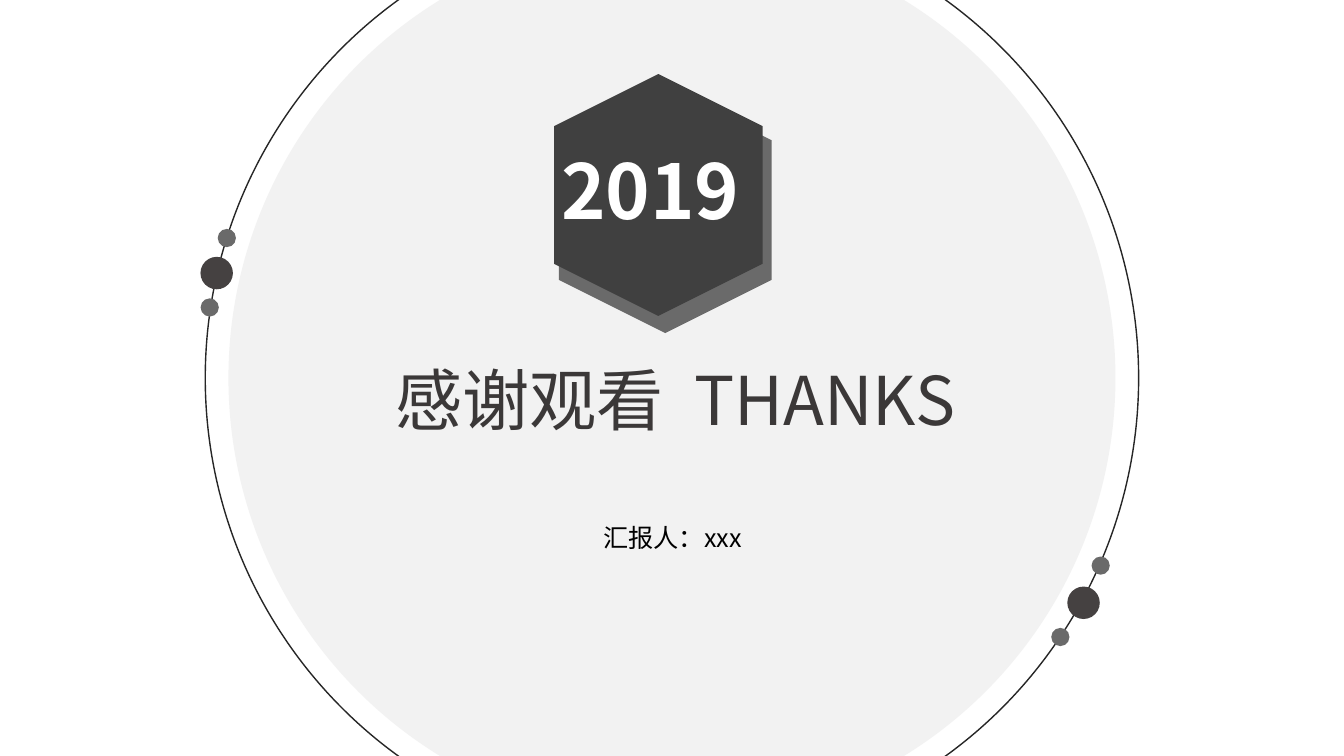
from pptx import Presentation
from pptx.dml.color import RGBColor
from pptx.enum.shapes import MSO_SHAPE
from pptx.enum.text import MSO_ANCHOR, MSO_AUTO_SIZE, PP_ALIGN
from pptx.oxml.ns import qn
from pptx.util import Pt
from lxml.etree import SubElement

WIDTH, HEIGHT = 960, 540
SANS_SC = "Noto Sans CJK SC"
SANS_JP = "Noto Sans CJK JP"
GREY = "6A6A6A"
DARK = "454141"


def colour(value):
    return RGBColor.from_string(value)


class SlideBuilder:
    def __init__(self, page):
        self.page = page

    def shape(self, kind, center, size, fill=None, line=None, rotation=0):
        (x, y), (width, height) = center, size
        shape = self.page.shapes.add_shape(
            kind, Pt(x - width / 2), Pt(y - height / 2), Pt(width), Pt(height))
        shape.shadow.inherit = False
        shape.rotation = rotation
        if fill:
            shape.fill.solid()
            shape.fill.fore_color.rgb = colour(fill)
        else:
            shape.fill.background()
        if line:
            shape.line.color.rgb = colour(line)
            shape.line.width = Pt(1)
        else:
            shape.line.fill.background()

    def circle(self, center, diameter, fill=None, line=None):
        self.shape(MSO_SHAPE.OVAL, center, (diameter, diameter), fill, line)

    def hexagon(self, center, size, fill):
        self.shape(MSO_SHAPE.HEXAGON, center, size, fill, rotation=90)

    def text(self, box, place, spans, font, size, ink,
             align=PP_ALIGN.CENTER, bold=False, wrap=False):
        box.left, box.top, box.width, box.height = map(Pt, place)
        self.page.shapes._spTree.append(box._element)
        frame = box.text_frame
        frame.word_wrap = wrap
        frame.auto_size = MSO_AUTO_SIZE.SHAPE_TO_FIT_TEXT
        frame.vertical_anchor = MSO_ANCHOR.TOP
        para = frame.paragraphs[0]
        para.alignment = align
        para.space_before = Pt(0)
        for words, spacing in spans:
            span = para.add_run()
            span.text = words
            span.font.name = font
            span.font.size = Pt(size)
            span.font.bold = bold
            span.font.color.rgb = colour(ink)
            properties = span._r.get_or_add_rPr()
            SubElement(properties, qn("a:ea")).set("typeface", font)
            if spacing:
                properties.set("spc", str(spacing * 100))

    def text_box(self, place, *style, **options):
        box = self.page.shapes.add_textbox(*map(Pt, place))
        self.text(box, place, *style, **options)


def main():
    deck = Presentation()
    deck.slide_width, deck.slide_height = Pt(WIDTH), Pt(HEIGHT)
    page = deck.slides.add_slide(deck.slide_layouts[0])
    builder = SlideBuilder(page)

    middle = (WIDTH / 2, HEIGHT / 2)
    builder.circle(middle, 633.6, fill="F2F2F2")
    builder.circle(middle, 666.7, line="262626")

    left_dots = [(162, 170), (154.8, 195.1), (149.8, 219.6)]
    right_dots = [(786.2, 404), (774, 430.6), (757.4, 455)]
    for dots in (left_dots, right_dots):
        for center, diameter, fill in zip(dots, (13, 23.2, 13), (GREY, DARK, GREY)):
            builder.circle(center, diameter, fill)

    builder.hexagon((475.2, 150.1), (175.7, 151.9), GREY)
    builder.hexagon((470.2, 139.3), (172.8, 149), "404040")

    builder.text_box((393.8, 99.4, 149, 72.7), [("2019", 0)], SANS_SC, 54, "FFFFFF",
                     align=PP_ALIGN.LEFT, bold=True)
    builder.text(page.placeholders[1], (329.8, 369.4, 301, 29), [("汇报人：xxx", 0)],
                 SANS_SC, 18, "000000", wrap=True)
    builder.text(page.shapes.title, (230.4, 252, 504, 65.5),
                 [("感谢观看", 0), (" ", 11), ("THANKS", 0)], SANS_JP, 48, "3B3838")

    deck.save("out.pptx")


if __name__ == "__main__":
    main()
